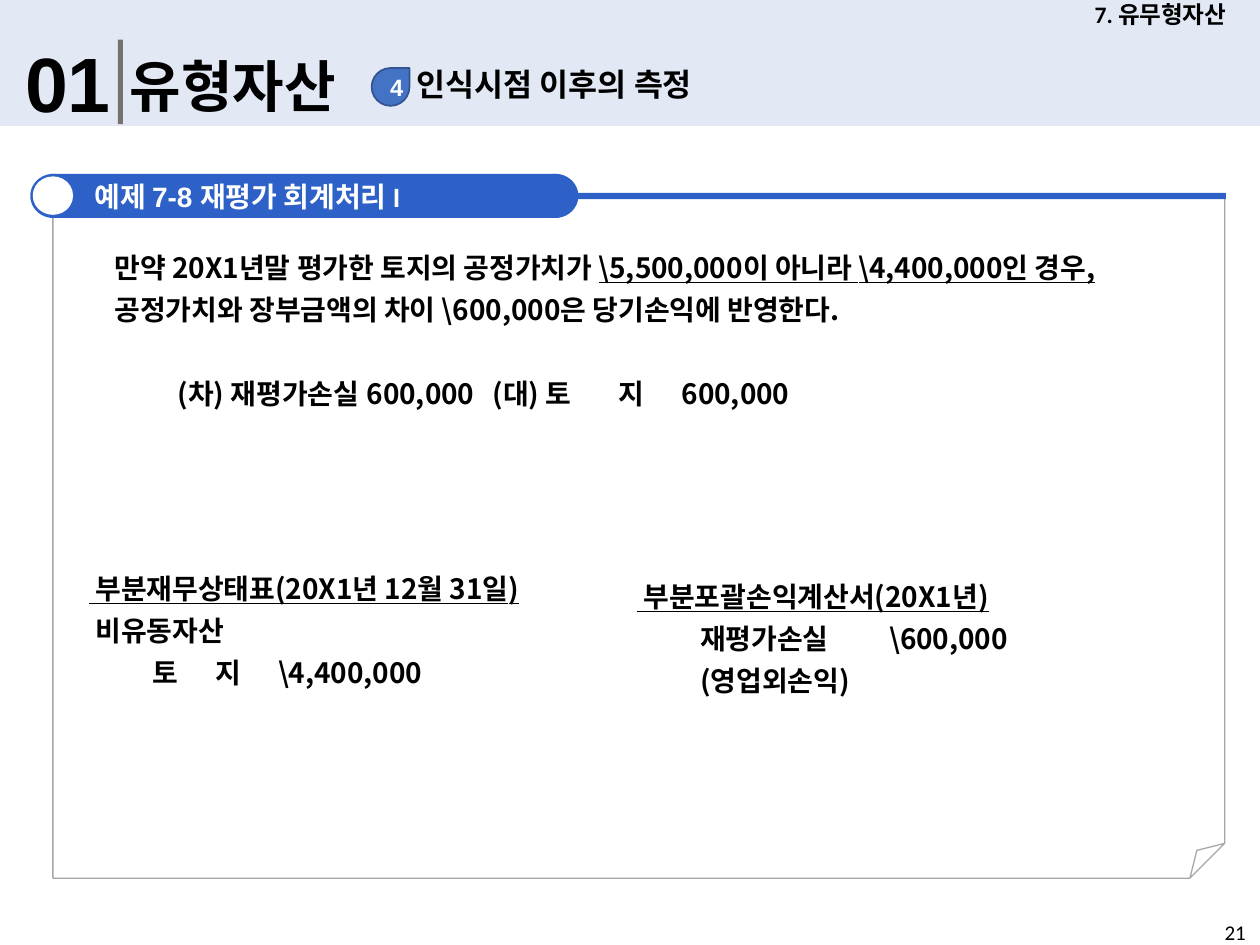
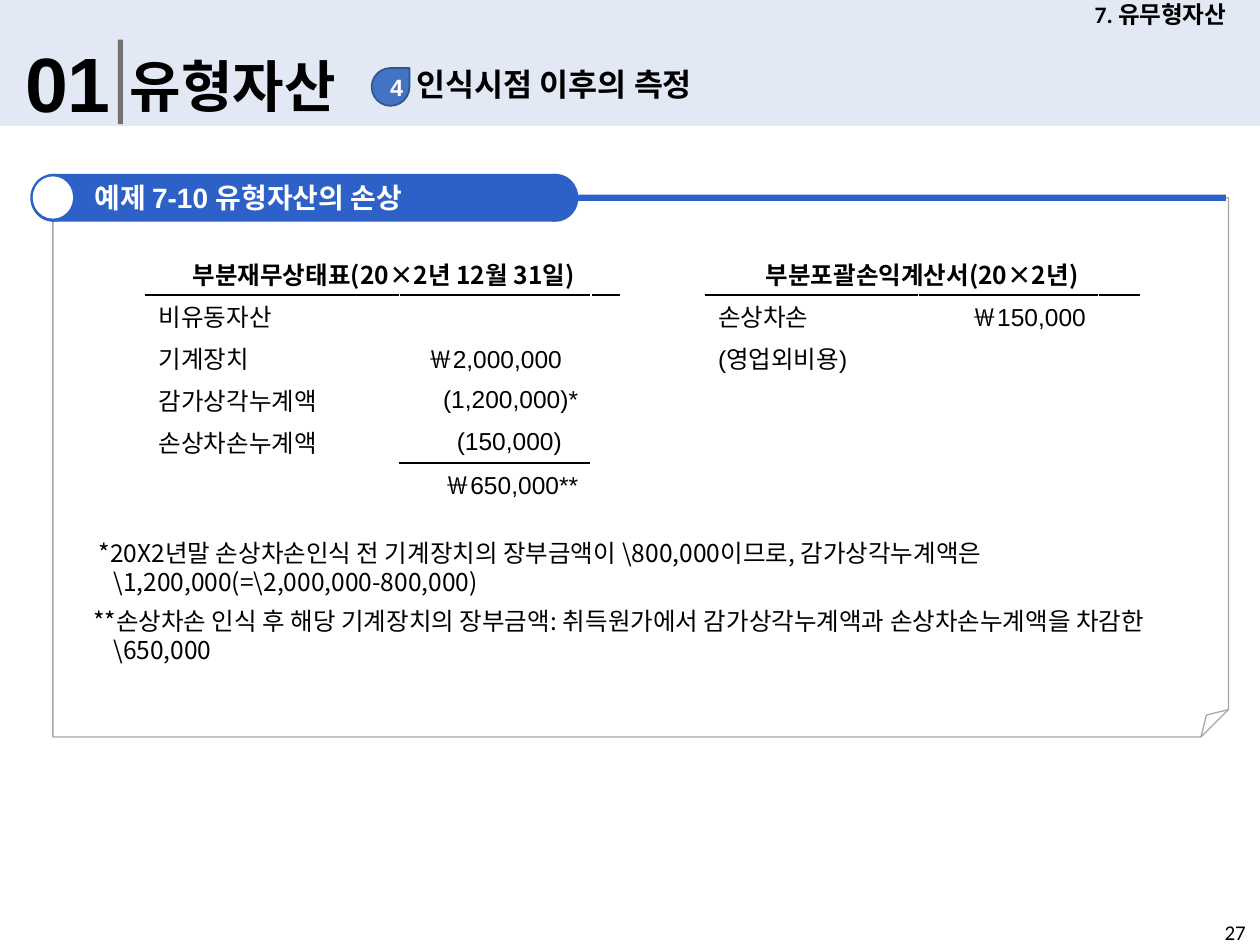
import pptx
import pptx.dml.color
import pptx.enum.shapes
import pptx.enum.text
import pptx.oxml
import pptx.oxml.ns
import pptx.util

RGBColor = pptx.dml.color.RGBColor
BLACK = RGBColor(0, 0, 0)
WHITE = RGBColor(0xFF, 0xFF, 0xFF)
BAND = RGBColor(0xDA, 0xE3, 0xF3)
DIVIDER = RGBColor(0x76, 0x71, 0x71)
BADGE = RGBColor(0x44, 0x72, 0xC4)
BADGE_EDGE = RGBColor(0x32, 0x54, 0x91)
ACCENT = RGBColor(0x2D, 0x61, 0xC8)
PAPER_EDGE = RGBColor(0xA6, 0xA6, 0xA6)

ARIAL = "Arial"
CALIBRI = "Calibri"
NOTO = "Noto Sans CJK KR"

SHAPE = pptx.enum.shapes.MSO_SHAPE
ALIGN = pptx.enum.text.PP_ALIGN
ANCHOR = pptx.enum.text.MSO_ANCHOR
COLUMNS, ROWS = 100, 75
CELL = pptx.util.Inches(0.1)
INSETS = (1, 0.5, 1, 0.5)


def grid(count):
    return pptx.util.Emu(round(count * CELL))


def make_xml(tag, **attributes):
    element = pptx.oxml.parse_xml(f"<a:{tag} {pptx.oxml.ns.nsdecls('a')}/>")
    for name, value in attributes.items():
        element.set(name, str(value))
    return element


def place(shape, area):
    shape.left, shape.top, shape.width, shape.height = map(grid, area)


def prepare_frame(shape, anchor=ANCHOR.TOP, insets=INSETS):
    frame = shape.text_frame
    frame.auto_size = pptx.enum.text.MSO_AUTO_SIZE.NONE
    frame.word_wrap = True
    frame.vertical_anchor = anchor
    (frame.margin_left, frame.margin_top,
     frame.margin_right, frame.margin_bottom) = map(grid, insets)
    return frame


def add_run(paragraph, text, size, font=NOTO, color=BLACK, bold=False, underline=False):
    run = paragraph.add_run()
    run.text = text
    run.font.size = pptx.util.Pt(size)
    run.font.name = font
    run.font.color.rgb = color
    run.font.bold = bold
    run.font.underline = underline


def format_paragraph(paragraph, align=ALIGN.LEFT, spacing=None, before=0, hanging=0, tabs=()):
    properties = paragraph._p.get_or_add_pPr()
    properties.set("marL", str(grid(hanging)))
    properties.set("indent", str(-grid(hanging)))
    properties.append(make_xml("buNone"))
    if tabs:
        tab_list = make_xml("tabLst")
        for position in tabs:
            tab_list.append(make_xml("tab", pos=grid(position), algn="l"))
        properties.append(tab_list)
    paragraph.alignment = align
    paragraph.space_before = pptx.util.Pt(before)
    if spacing:
        paragraph.line_spacing = pptx.util.Pt(spacing)


def write_line(frame, text, size, font, color=BLACK, bold=True, align=ALIGN.LEFT):
    paragraph = frame.paragraphs[0]
    format_paragraph(paragraph, align)
    add_run(paragraph, text, size, font, color, bold)


def write_entries(frame, entries):
    for index, (runs, tabs, before) in enumerate(entries):
        paragraph = frame.add_paragraph() if index else frame.paragraphs[0]
        format_paragraph(paragraph, spacing=24, before=before, tabs=tabs)
        for text, underline in runs:
            add_run(paragraph, text, 16, bold=True, underline=underline)


def add_text_box(slide, area, insets=INSETS, anchor=ANCHOR.TOP):
    box = slide.shapes.add_textbox(*map(grid, area))
    return prepare_frame(box, anchor, insets)


def add_preset(slide, kind, area, fill=None, line=None, line_width=1):
    shape = slide.shapes.add_shape(kind, *map(grid, area))
    shape.shadow.inherit = False
    if fill is None:
        shape.fill.background()
    else:
        shape.fill.solid()
        shape.fill.fore_color.rgb = fill
    if line is None:
        shape.line.fill.background()
    else:
        shape.line.color.rgb = line
        shape.line.width = pptx.util.Pt(line_width)
    return shape


def add_header(slide, page_number):
    band = add_preset(slide, SHAPE.RECTANGLE, (0, 0, COLUMNS, 10), BAND)
    band_color = band._element.spPr.find(".//" + pptx.oxml.ns.qn("a:srgbClr"))
    band_color.append(make_xml("alpha", val=76000))
    write_line(add_text_box(slide, (1, 2.3, 9.1, 8.4)), "01", 44, ARIAL)
    add_preset(slide, SHAPE.RECTANGLE, (9.35, 3.15, 0.4, 6.7), DIVIDER)

    title = slide.shapes.title
    place(title, (9.3, 3.6, 19, 6.4))
    write_line(prepare_frame(title), "유형자산", 32, CALIBRI)
    slide.shapes._spTree.append(title._element)

    write_line(add_text_box(slide, (32.1, 4.7, 30.9, 4)), "인식시점 이후의 측정", 18, CALIBRI)
    badge = add_preset(slide, SHAPE.TEAR, (29.5, 5.4, 3, 3), BADGE, BADGE_EDGE)
    badge_frame = prepare_frame(badge, ANCHOR.MIDDLE, (1, 0.5, 0, 0.5))
    write_line(badge_frame, "4", 13.5, ARIAL, WHITE, align=ALIGN.CENTER)
    chapter = add_text_box(slide, (84.2, 0, 15.8, 2.3), anchor=ANCHOR.MIDDLE)
    write_line(chapter, "7. 유무형자산", 13.5, CALIBRI, align=ALIGN.CENTER)
    number = add_text_box(slide, (96.2, 72.5, 3.8, 2.5), (1, 0.5, 0, 0))
    write_line(number, str(page_number), 12, CALIBRI, bold=False)


def add_example_panel(slide, number, name, paper_area, pill_height):
    top = 13.8
    paper = add_preset(slide, SHAPE.FOLDED_CORNER, paper_area, None, PAPER_EDGE, 0.75)
    fold = paper._element.spPr.find(".//" + pptx.oxml.ns.qn("a:avLst"))
    fold.append(make_xml("gd", name="adj", fmla="val 5100"))
    add_preset(slide, SHAPE.RECTANGLE, (4.3, top + pill_height / 2 - 0.25, 93, 0.5), ACCENT)
    for left in (2.4, 42.25):
        add_preset(slide, SHAPE.OVAL, (left, top, 3.65, pill_height), ACCENT)
    pill = add_preset(slide, SHAPE.RECTANGLE, (4.1, top, 40, pill_height), ACCENT)
    frame = prepare_frame(pill, ANCHOR.MIDDLE, (3.4, 0, 1, 0))
    paragraph = frame.paragraphs[0]
    format_paragraph(paragraph)
    for text, font in (("예제 ", CALIBRI), (number + " ", ARIAL), (name, CALIBRI)):
        add_run(paragraph, text, 16, font, WHITE, True)
    add_preset(slide, SHAPE.OVAL, (2.6, top + 0.2, 3.2, pill_height - 0.45), WHITE)


def start_slide(presentation, page_number, example, name, paper_area, pill_height):
    slide = presentation.slides.add_slide(presentation.slide_layouts[1])
    add_header(slide, page_number)
    add_example_panel(slide, example, name, paper_area, pill_height)
    body = slide.placeholders[1]
    slide.shapes._spTree.append(body._element)
    return slide, body


def add_revaluation_slide(presentation):
    slide, body = start_slide(presentation, 21, "7-8", "재평가 회계처리 I",
                              (4.2, 15.6, 93, 54.1), 3.5)
    place(body, (8, 18.7, 86.1, 20))
    write_entries(prepare_frame(body, insets=(1.1, 0.5, 1.1, 0.5)), [
        ([("만약 20X1년말 평가한 토지의 공정가치가 ", False),
          ("\\5,500,000이 아니라 \\4,400,000인 경우,", True),
          (" 공정가치와 장부금액의 차이 \\600,000은 당기손익에 반영한다.", False)], (), 0),
        ([("\t(차) 재평가손실\t600,000\t(대) 토\t지\t600,000", False)],
         (3.1, 25.1, 41.3, 55.3, 62.8), 24),
    ])
    statements = [
        ((6.1, 44.2, 42, 11.1), [
            ([(" 부분재무상태표(20X1년 12월 31일)", True)], (), 0),
            ([(" 비유동자산", False)], (), 0),
            ([("\t토\t지\t\\4,400,000", False)], (2.3, 8.8, 21.3), 0)]),
        ((49.6, 44.8, 45, 11.1), [
            ([(" 부분포괄손익계산서(20X1년)", True)], (), 0),
            ([("\t재평가손실\t\\600,000", False)], (4.3, 25), 0),
            ([("\t(영업외손익)", False)], (3.5,), 0)]),
    ]
    for area, entries in statements:
        write_entries(add_text_box(slide, area), entries)


def set_cell_rule(cell, side):
    line = make_xml(side, w=pptx.util.Pt(1))
    fill = make_xml("solidFill")
    fill.append(make_xml("srgbClr", val=str(BLACK)))
    line.append(fill)
    cell._tc.get_or_add_tcPr().insert(0, line)


def add_rule_below(table, row, columns):
    for column in columns:
        set_cell_rule(table.cell(row, column), "lnB")
        set_cell_rule(table.cell(row + 1, column), "lnT")


def add_statement_table(slide):
    widths = (20.1, 15.2, 2.3, 6.7, 16.9, 14.3, 3.2)
    row_count, row_height = 6, 3.33
    frame = slide.shapes.add_table(row_count, len(widths), grid(11.6), grid(20.1),
                                   grid(sum(widths)), grid(row_count * row_height))
    table = frame.table
    table.first_row = False
    table.horz_banding = False
    for column, width in zip(table.columns, widths):
        column.width = grid(width)
    for row in table.rows:
        row.height = grid(row_height)
        for cell in row.cells:
            cell.fill.background()
            cell.vertical_anchor = ANCHOR.MIDDLE
            cell.margin_left = cell.margin_right = grid(1)
            cell.margin_top = cell.margin_bottom = 0

    headings = {0: "부분재무상태표(20×2년 12월 31일)", 4: "부분포괄손익계산서(20×2년)"}
    for column, text in headings.items():
        add_rule_below(table, 0, range(column, column + 3))
        table.cell(0, column).merge(table.cell(0, column + 2))
        write_line(table.cell(0, column).text_frame, text, 14, NOTO, align=ALIGN.CENTER)
    add_rule_below(table, 4, [1])

    entries = [
        (1, 0, "비유동자산", ALIGN.LEFT),
        (2, 0, "기계장치", ALIGN.LEFT),
        (3, 0, "감가상각누계액", ALIGN.LEFT),
        (4, 0, "손상차손누계액", ALIGN.LEFT),
        (2, 1, "￦2,000,000", ALIGN.CENTER),
        (3, 1, "(1,200,000)*", ALIGN.RIGHT),
        (4, 1, "(150,000)", ALIGN.RIGHT),
        (5, 1, "￦650,000**", ALIGN.RIGHT),
        (1, 4, "손상차손", ALIGN.LEFT),
        (1, 5, "￦150,000", ALIGN.RIGHT),
        (2, 4, "(영업외비용)", ALIGN.LEFT),
    ]
    for row, column, text, align in entries:
        write_line(table.cell(row, column).text_frame, text, 14, ARIAL, bold=False, align=align)
    table.cell(4, 1).margin_right = grid(2.3)


def add_impairment_slide(presentation):
    slide, body = start_slide(presentation, 27, "7-10", "유형자산의 손상",
                              (4.2, 15.7, 93.3, 42.8), 3.8)
    add_statement_table(slide)
    place(body, (6.4, 42.2, 89.3, 11.3))
    frame = prepare_frame(body)
    notes = [
        " *20X2년말 손상차손인식 전 기계장치의 장부금액이 \\800,000이므로, "
        "감가상각누계액은 \\1,200,000(=\\2,000,000-800,000)",
        "**손상차손 인식 후 해당 기계장치의 장부금액: "
        "취득원가에서 감가상각누계액과 손상차손누계액을 차감한 \\650,000",
    ]
    for index, text in enumerate(notes):
        paragraph = frame.add_paragraph() if index else frame.paragraphs[0]
        format_paragraph(paragraph, spacing=16.6, before=6 * index, hanging=1.6)
        add_run(paragraph, text, 14)


def main():
    presentation = pptx.Presentation()
    presentation.slide_width = grid(COLUMNS)
    presentation.slide_height = grid(ROWS)
    add_revaluation_slide(presentation)
    add_impairment_slide(presentation)
    presentation.save("out.pptx")


if __name__ == "__main__":
    main()
